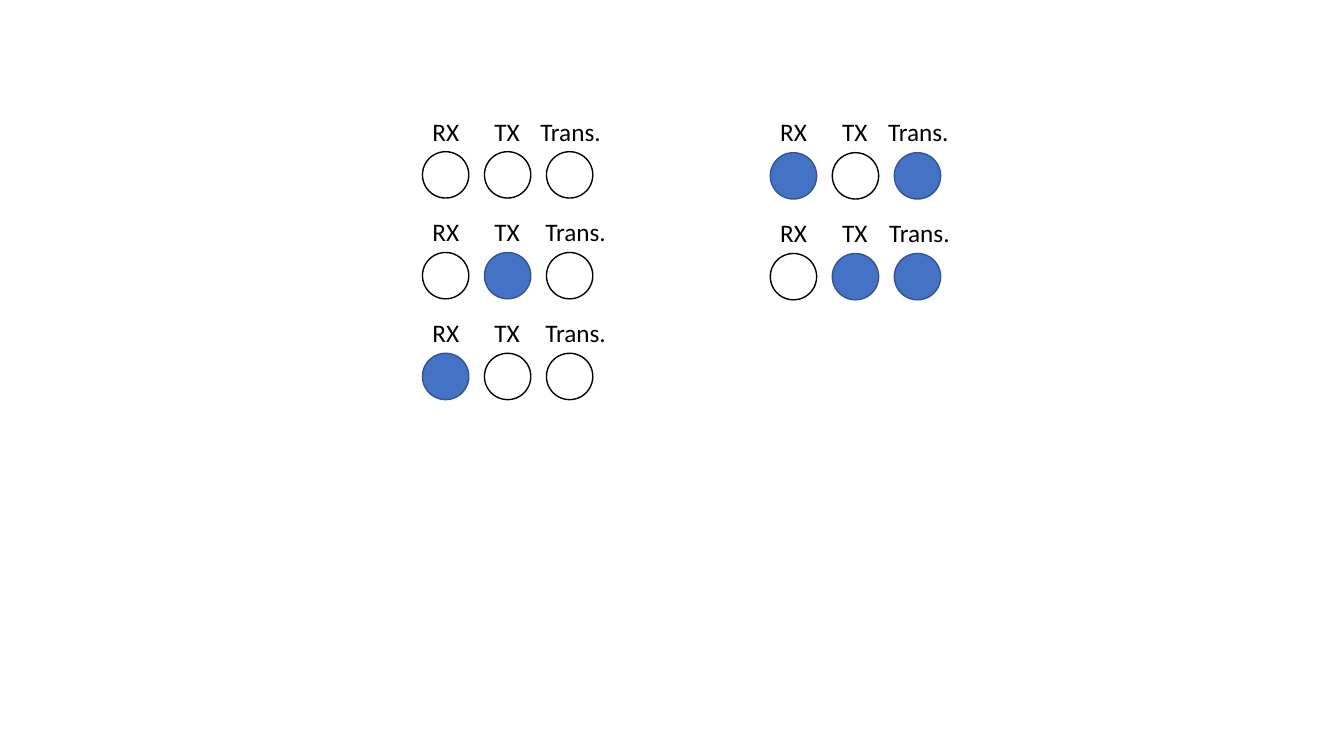
from dataclasses import dataclass

from pptx import Presentation
from pptx import util as u
from pptx.dml.color import RGBColor
from pptx.enum import shapes, text


@dataclass(frozen=True)
class Theme:
    font: str = "Calibri"
    label_size: int = 18
    line_width: int = 1
    ink: str = "000000"
    lamp_off: str = "FFFFFF"
    lamp_on: str = "4472C4"
    lamp_on_line: str = "325491"


THEME = Theme()
LAMP_SIZE = 0.46
LAMP_PITCH = 0.615
LAMP_DROP = 0.405
LABEL_HEIGHT = 0.4
ROW_PITCH = 1.0
LABEL_WIDTHS = {"RX": 0.47, "TX": 0.46, "Trans.": 0.81}

LEFT_COLUMN = [
    (set(), -0.16),
    ({"TX"}, -0.11),
    ({"RX"}, -0.11),
]
RIGHT_COLUMN = [
    ({"RX", "Trans."}, -0.16),
    ({"TX", "Trans."}, -0.15),
]


def add_lamp(slide, left, top, lit):
    lamp = slide.shapes.add_shape(
        shapes.MSO_SHAPE.OVAL,
        u.Inches(left), u.Inches(top), u.Inches(LAMP_SIZE), u.Inches(LAMP_SIZE),
    )
    lamp.shadow.inherit = False
    lamp.fill.solid()
    lamp.fill.fore_color.rgb = RGBColor.from_string(
        THEME.lamp_on if lit else THEME.lamp_off)
    lamp.line.color.rgb = RGBColor.from_string(
        THEME.lamp_on_line if lit else THEME.ink)
    lamp.line.width = u.Pt(THEME.line_width)


def add_label(slide, left, top, name):
    label = slide.shapes.add_textbox(
        u.Inches(left), u.Inches(top),
        u.Inches(LABEL_WIDTHS[name]), u.Inches(LABEL_HEIGHT),
    )
    frame = label.text_frame
    frame.text = name
    frame.word_wrap = False
    frame.auto_size = text.MSO_AUTO_SIZE.SHAPE_TO_FIT_TEXT
    font = frame.paragraphs[0].runs[0].font
    font.name = THEME.font
    font.size = u.Pt(THEME.label_size)
    font.color.rgb = RGBColor.from_string(THEME.ink)


def add_indicator(slide, left, top, lit_names, trans_shift):
    for index, name in enumerate(LABEL_WIDTHS):
        lamp_left = left + index * LAMP_PITCH
        label_shift = trans_shift if name == "Trans." else 0
        add_lamp(slide, lamp_left, top + LAMP_DROP, name in lit_names)
        add_label(slide, lamp_left + label_shift, top, name)


def add_column(slide, left, top, states):
    for row, (lit_names, trans_shift) in enumerate(states):
        add_indicator(slide, left, top + row * ROW_PITCH, lit_names, trans_shift)


def main():
    presentation = Presentation()
    presentation.slide_width = u.Inches(13.33)
    presentation.slide_height = u.Inches(7.5)
    slide = presentation.slides.add_slide(presentation.slide_layouts[6])
    add_column(slide, 4.19, 1.1, LEFT_COLUMN)
    add_column(slide, 7.64, 1.11, RIGHT_COLUMN)
    presentation.save("out.pptx")


if __name__ == "__main__":
    main()
